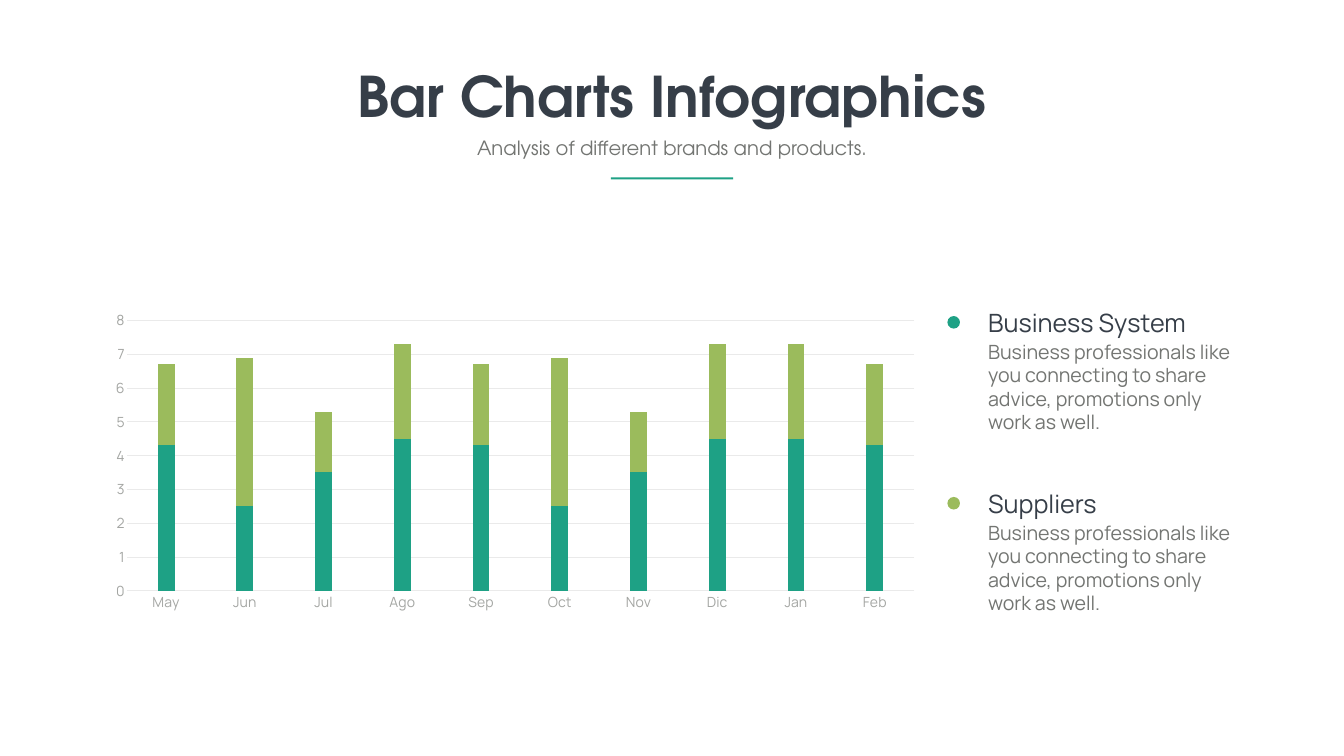
from lxml import etree
from pptx import Presentation
from pptx import util as u
from pptx.chart.data import CategoryChartData
from pptx.dml.color import RGBColor
from pptx.enum import chart as charts, shapes, text

WIDTH, HEIGHT = 26.67, 15
COLORS = {"dark": "363E48", "body": "737572", "axis": "A4A6A3",
          "grid": "EAEAEA", "green": "1EA185", "lime": "9BBB5C", "white": "FFFFFF"}
HEADING_FONT, BODY_FONT = "TeX Gyre Adventor", "Manrope"


def color(name):
    return RGBColor.from_string(COLORS[name])


class SlideBuilder:
    """Draws on one slide; places are shares of the slide's width and height."""

    def __init__(self, slide):
        self.slide = slide
        slide.background.fill.solid()
        slide.background.fill.fore_color.rgb = color("white")

    def place(self, left, top, width, height):
        return [u.Inches(share * side) for share, side in
                zip((left, top, width, height), (WIDTH, HEIGHT) * 2)]

    def style(self, font, name, size, tone, bold=False):
        font.name, font.size, font.bold = name, u.Pt(size), bold
        font.color.rgb = color(tone)

    def label(self, area, words, size, tone, name=BODY_FONT, bold=False,
              align=text.PP_ALIGN.LEFT, wrap=True):
        box = self.slide.shapes.add_textbox(*self.place(*area))
        frame = box.text_frame
        frame.text = words
        frame.word_wrap = wrap
        frame.auto_size = text.MSO_AUTO_SIZE.SHAPE_TO_FIT_TEXT
        para = frame.paragraphs[0]
        para.alignment = align
        self.style(para.runs[0].font, name, size, tone, bold)

    def shape(self, kind, area, tone):
        shape = self.slide.shapes.add_shape(kind, *self.place(*area))
        shape.shadow.inherit = False
        shape.fill.solid()
        shape.fill.fore_color.rgb = color(tone)
        shape.line.fill.background()

    def axis(self, axis):
        axis.major_tick_mark = axis.minor_tick_mark = charts.XL_TICK_MARK.NONE
        self.style(axis.tick_labels.font, BODY_FONT, 20, "axis")

    def hairline(self, line):
        line.color.rgb = color("grid")
        line.width = u.Pt(0.75)

    def stacked_columns(self, area, categories, series):
        data = CategoryChartData()
        data.categories = categories
        for name, values, _ in series:
            data.add_series(name, values)
        chart = self.slide.shapes.add_chart(
            charts.XL_CHART_TYPE.COLUMN_STACKED, *self.place(*area), data).chart
        chart.has_legend = chart.has_title = False
        self.style(chart.font, BODY_FONT, 20, "body")

        months, amounts = chart.category_axis, chart.value_axis
        self.axis(months)
        self.axis(amounts)
        self.hairline(months.format.line)
        amounts.format.line.fill.background()
        self.hairline(amounts.major_gridlines.format.line)
        amounts.minimum_scale, amounts.maximum_scale, amounts.major_unit = 0, 8, 1

        plot = chart.plots[0]
        plot.gap_width, plot.overlap, plot.vary_by_categories = 366, 100, False
        for bars, (_, _, tone) in zip(plot.series, series):
            bars.format.fill.solid()
            bars.format.fill.fore_color.rgb = color(tone)

    def legend_entry(self, top, title, description, tone):
        """Dot, title and description, all measured from the entry's top."""
        left = 19.51 / WIDTH
        self.shape(shapes.MSO_SHAPE.OVAL,
                   (18.8 / WIDTH, top + 0.23 / HEIGHT, 0.25 / WIDTH, 0.25 / HEIGHT), tone)
        self.label((left, top + 0.65 / HEIGHT, 5.19 / WIDTH, 1.99 / HEIGHT),
                   description, 28, "body")
        self.label((left, top, 4.89 / WIDTH, 0.71 / HEIGHT), title, 36, "dark")

    def header(self, title, subtitle):
        centre = text.PP_ALIGN.CENTER

        def centred(top, width, height):
            return (1 - width / WIDTH) / 2, top / HEIGHT, width / WIDTH, height / HEIGHT

        self.label(centred(1.17, 12.82, 1.45), title, 80, "dark",
                   HEADING_FONT, True, centre, wrap=False)
        self.label(centred(2.65, 9.56, 0.57), subtitle, 28, "body",
                   HEADING_FONT, align=centre)
        self.shape(shapes.MSO_SHAPE.RECTANGLE, centred(3.52, 2.43, 0.04), "green")


def main():
    deck = Presentation()
    deck.slide_width, deck.slide_height = u.Inches(WIDTH), u.Inches(HEIGHT)
    page = SlideBuilder(deck.slides.add_slide(deck.slide_layouts[6]))

    # Monthly chart
    page.stacked_columns(
        (1.97 / WIDTH, 6.04 / HEIGHT, 16.5 / WIDTH, 6.23 / HEIGHT),
        ["May", "Jun", "Jul", "Ago", "Sep", "Oct", "Nov", "Dic", "Jan", "Feb"],
        [("Series 1", [4.3, 2.5, 3.5, 4.5, 4.3, 2.5, 3.5, 4.5, 4.5, 4.3], "green"),
         ("Series 2", [2.4, 4.4, 1.8, 2.8, 2.4, 4.4, 1.8, 2.8, 2.8, 2.4], "lime")])

    # Legend
    description = ("Business professionals like you connecting to share advice, "
                   "promotions only work as well.")
    entries = [("Business System", "green"), ("Suppliers", "lime")]
    for row, (title, tone) in enumerate(entries):
        page.legend_entry((6.04 + 3.59 * row) / HEIGHT, title, description, tone)

    # Heading
    page.header("Bar Charts Infographics", "Analysis of different brands and products.")
    deck.save("out.pptx")


if __name__ == "__main__":
    main()
